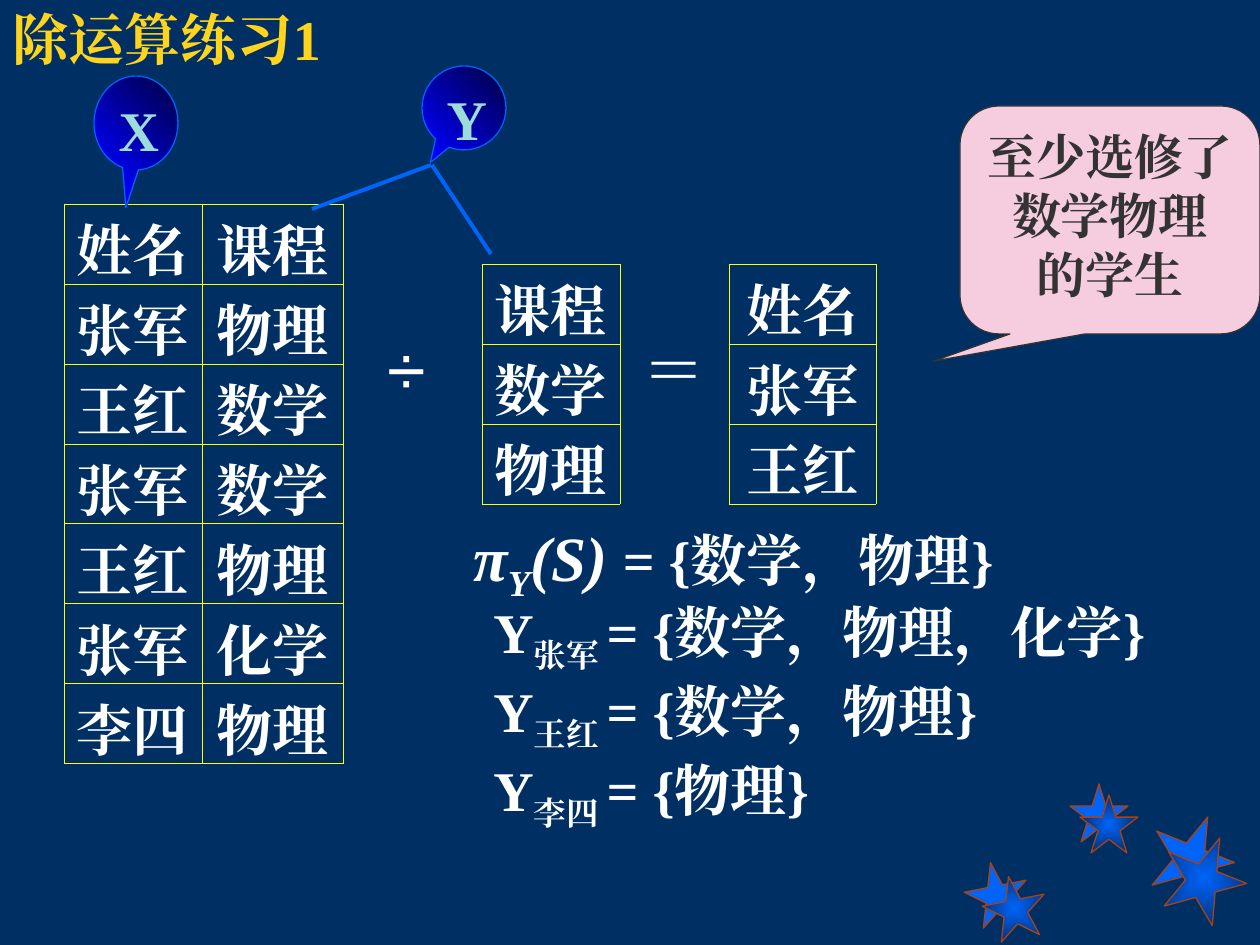
from pptx import Presentation, util as u
from pptx.dml.color import RGBColor
from pptx.enum import shapes as es, text as et
from pptx.oxml import parse_xml
from pptx.oxml.ns import nsdecls, qn
from lxml import etree

SCALE = 9144000 / 1260  # EMU in one px

NAVY = RGBColor(0x00, 0x30, 0x63)
BLUE = RGBColor(0x00, 0x64, 0xF8)
DEEP = RGBColor(0x00, 0x2E, 0x72)
INK = RGBColor(0x00, 0x00, 0x42)
PURE = RGBColor(0x00, 0x00, 0xFF)
RUST = RGBColor(0xA9, 0x41, 0x13)
GOLD = RGBColor(0xFF, 0xD4, 0x1D)
YELLOW = RGBColor(0xFF, 0xFF, 0x00)
WHITE = RGBColor(0xFF, 0xFF, 0xFF)
PINK = RGBColor(0xF5, 0xCD, 0xDF)
GREY = RGBColor(0x33, 0x33, 0x33)
AQUA = RGBColor(0x9C, 0xDC, 0xDA)

SERIF = "Times New Roman"
SANS = "Noto Sans CJK SC"
MID = et.PP_ALIGN.CENTER
LEFT = et.PP_ALIGN.LEFT


def px(*vals):
    return [u.Emu(round(v * SCALE)) for v in vals]


def write(par, text, size=32, font=SERIF, color=WHITE, bold=True,
          italic=False, align=LEFT, sub=False):
    """Add one formatted run to a paragraph."""
    par.alignment = align
    run = par.add_run()
    run.text = text
    f = run.font
    f.size, f.name, f.bold, f.italic = u.Pt(size), font, bold, italic
    f.color.rgb = color
    props = run._r.get_or_add_rPr()
    if sub:
        props.set("baseline", "-25000")
    props.find(qn("a:latin")).addnext(
        parse_xml(f'<a:ea {nsdecls("a")} typeface="{SERIF}"/>'))


def label(slide, box, runs, **form):
    """Text box holding one line of (text, format) runs."""
    frame = slide.shapes.add_textbox(*px(*box)).text_frame
    frame.word_wrap = True
    for text, own in runs:
        write(frame.paragraphs[0], text, **{**form, **own})


def figure(shapes, kind, box, line, fill=None, blend=None, adj=(), turn=0):
    """Preset shape with a plain fill or a two-colour blend."""
    shp = shapes.add_shape(kind, *px(*box))
    shp.shadow.inherit = False
    shp.rotation = turn
    for i, val in enumerate(adj):
        shp.adjustments[i] = val
    shp.line.color.rgb = line
    shp.line.width = u.Pt(0.75)
    if blend:
        shp.fill.gradient()
        for stop, tint, pos in zip(shp.fill.gradient_stops, blend, (0, 1)):
            stop.color.rgb, stop.position = tint, pos
    else:
        shp.fill.solid()
        shp.fill.fore_color.rgb = fill
    return shp


def star(shapes, x, y, size, turn, **paint):
    shp = figure(shapes, es.MSO_SHAPE.STAR_5_POINT, (x, y, size, size),
                 RUST, turn=turn, **paint)
    if "blend" in paint:
        lin = shp._element.spPr.find(".//" + qn("a:lin"))
        lin.getparent().replace(lin, parse_xml(
            f'<a:path {nsdecls("a")} path="rect"><a:fillToRect '
            'l="50000" t="50000" r="50000" b="50000"/></a:path>'))


def bubble(shapes, box, text, adj):
    shp = figure(shapes, es.MSO_SHAPE.OVAL_CALLOUT, box, BLUE,
                 blend=(INK, PURE), adj=adj)
    shp.fill.gradient_angle = 225
    shp.text_frame.vertical_anchor = et.MSO_ANCHOR.TOP
    write(shp.text_frame.paragraphs[0], text, color=AQUA, align=MID)


def link(shapes, *ends):
    con = shapes.add_connector(es.MSO_CONNECTOR.STRAIGHT, *px(*ends))
    con.line.color.rgb = BLUE
    con.line.width = u.Pt(2.25)
    etree.SubElement(con._element.spPr, qn("a:effectLst"))


def edge(cell):
    props = cell._tc.get_or_add_tcPr()
    for side in "LRTB":
        props.append(parse_xml(
            f'<a:ln{side} {nsdecls("a")} w="5715"><a:solidFill>'
            f'<a:srgbClr val="{YELLOW}"/></a:solidFill></a:ln{side}>'))


def grid(slide, x, y, widths, rows):
    """Bordered table without fill; each row is a list of words."""
    high = 80
    tab = slide.shapes.add_table(
        len(rows), len(widths), *px(x, y, sum(widths), high * len(rows))).table
    tab.first_row = tab.horz_banding = False
    for col, wide in zip(tab.columns, widths):
        col.width = px(wide)[0]
    for r, row in enumerate(rows):
        tab.rows[r].height = px(high)[0]
        for c, word in enumerate(row):
            cell = tab.cell(r, c)
            edge(cell)
            cell.fill.background()
            cell.vertical_anchor = et.MSO_ANCHOR.BOTTOM
            cell.margin_top = cell.margin_bottom = 0
            write(cell.text_frame.paragraphs[0], word, font=SANS, align=MID)


def main():
    prs = Presentation()
    prs.slide_width, prs.slide_height = px(1260, 945)
    slide = prs.slides.add_slide(prs.slide_layouts[5])
    slide.background.fill.solid()
    slide.background.fill.fore_color.rgb = NAVY
    shapes = slide.shapes

    # Corner stars, plain ones behind blended ones
    for x, y, size, turn in ((965, 862, 63, 349), (1070, 784, 58, 0),
                             (1150, 814, 84, 22)):
        star(shapes, x, y, size, turn, fill=BLUE)
    for x, y, size, turn in ((983, 876, 63, 349), (1080, 795, 58, 0),
                             (1162, 835, 84, 22)):
        star(shapes, x, y, size, turn, blend=(BLUE, DEEP))

    # Title
    head = shapes.title
    head.left, head.top, head.width, head.height = px(0, 0, 1050, 76)
    head.text_frame.vertical_anchor = et.MSO_ANCHOR.MIDDLE
    head.text_frame.auto_size = et.MSO_AUTO_SIZE.NONE
    write(head.text_frame.paragraphs[0], "除运算练习1", color=GOLD)

    # Division: R ÷ S = result
    grid(slide, 64, 204, (138, 141), [
        ("姓名", "课程"), ("张军", "物理"), ("王红", "数学"), ("张军", "数学"),
        ("王红", "物理"), ("张军", "化学"), ("李四", "物理")])
    label(slide, (372, 319, 69, 97), [("÷", {})], size=40, font="Arial",
          bold=False, align=MID)
    grid(slide, 482, 264, (138,), [["课程"], ["数学"], ["物理"]])
    label(slide, (630, 324, 84, 88), [("＝", {})], size=36, font=SANS,
          align=MID)
    grid(slide, 729, 264, (147,), [["姓名"], ["张军"], ["王红"]])

    # Meaning of the result
    note = figure(shapes, es.MSO_SHAPE.ROUNDED_RECTANGULAR_CALLOUT,
                  (960, 106, 300, 228), GREY, fill=PINK,
                  adj=(-0.59, 0.62, 0.17))
    frame = note.text_frame
    frame.word_wrap = False
    frame.vertical_anchor = et.MSO_ANCHOR.MIDDLE
    frame.margin_left, frame.margin_right, frame.margin_top, \
        frame.margin_bottom = px(8, 8, 0, 10)
    for i, text in enumerate(("至少选修了", "数学物理", "的学生")):
        par = frame.add_paragraph() if i else frame.paragraphs[0]
        write(par, text, size=28, color=GREY, align=MID)

    # Image sets
    for i, (name, items, wide) in enumerate((
            ("张军", "数学，物理，化学", 735), ("王红", "数学，物理", 596),
            ("李四", "物理", 596))):
        label(slide, (481, 591 + 79 * i, wide, 89), [
            ("Y", {}), (name + " ", {"sub": True}), (f"= {{{items}}}", {})])
    slant = {"size": 36, "italic": True}
    label(slide, (461, 512, 735, 100), [
        ("π", slant), ("Y", {**slant, "sub": True}), ("(S) ", slant),
        ("= {数学，物理}", {})])

    # Attribute marks
    bubble(shapes, (94, 76, 84, 94), "X", (-0.12, 0.9))
    mark = shapes.add_group_shape().shapes
    bubble(mark, (422, 66, 84, 84), "Y", (-0.4, 0.65))
    link(mark, 491, 254, 432, 165)
    link(mark, 431, 165, 312, 209)

    prs.save("out.pptx")


if __name__ == "__main__":
    main()
